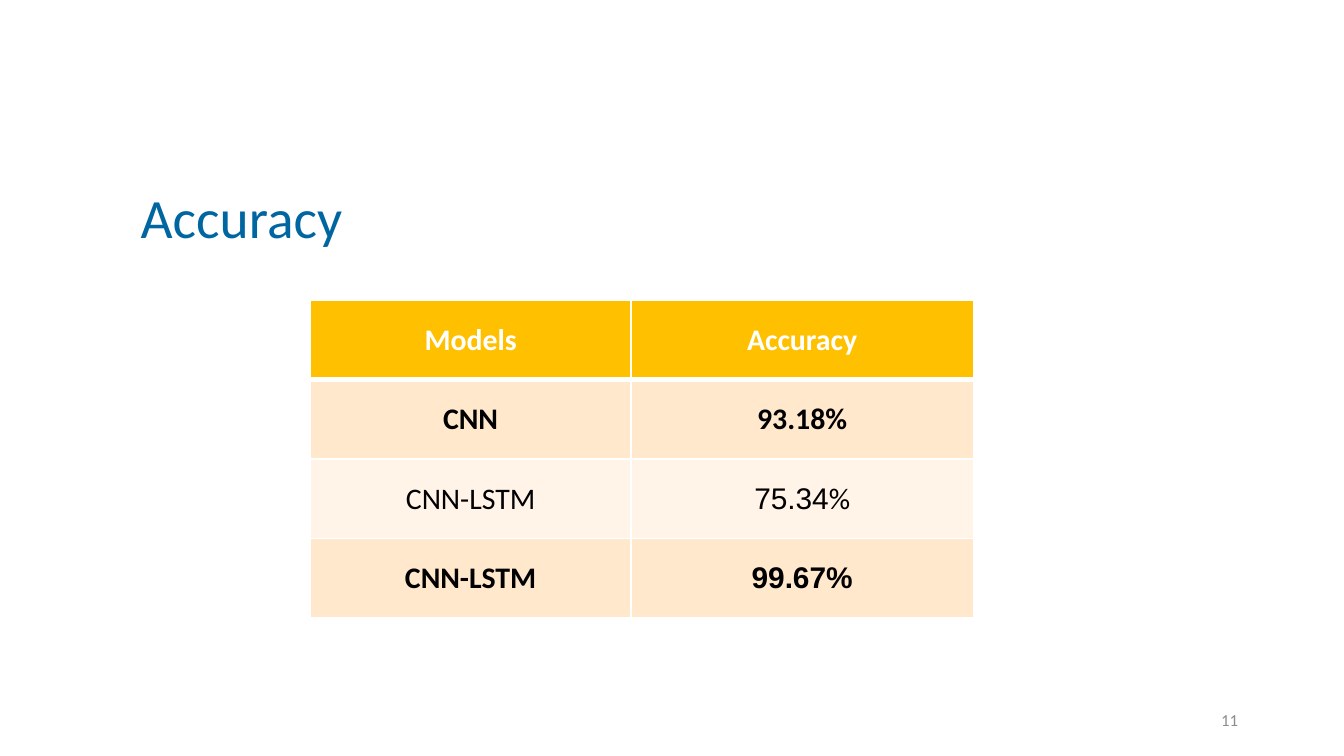
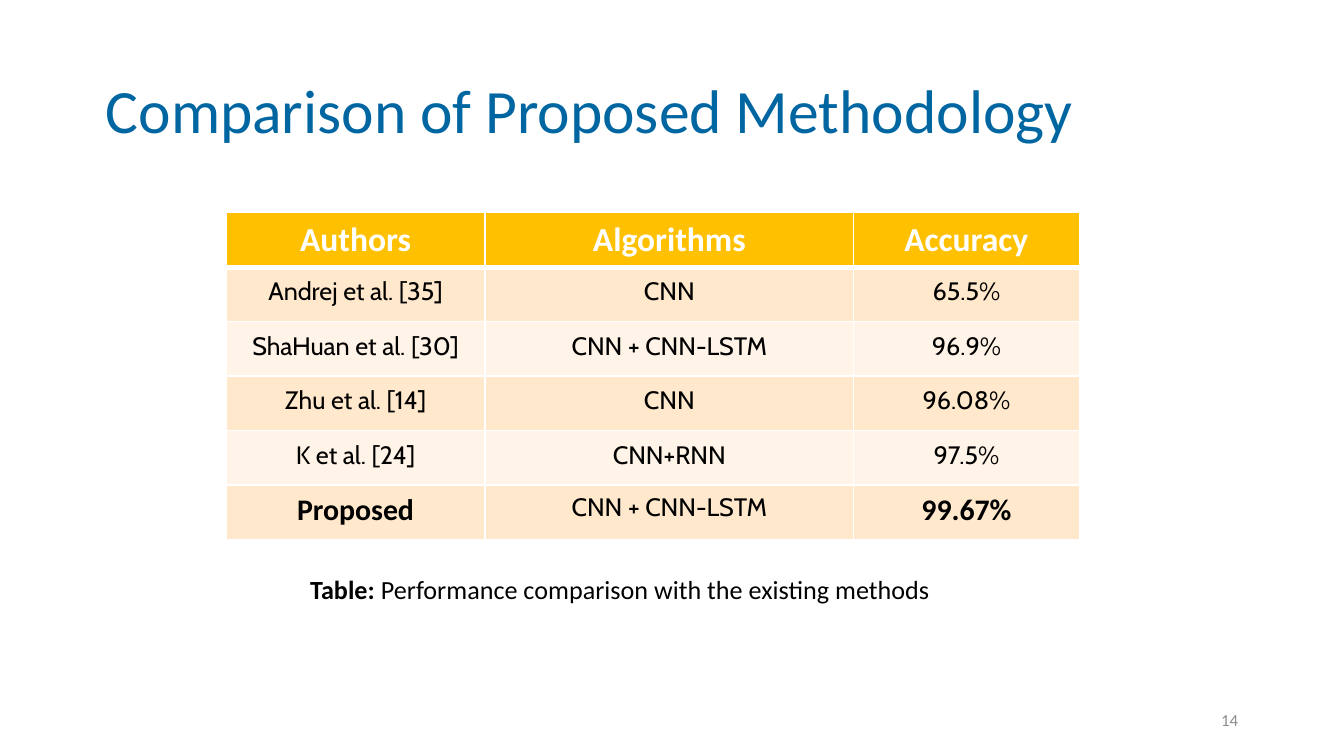
from collections import namedtuple

from lxml.etree import SubElement
from pptx import Presentation
from pptx.dml.color import RGBColor
from pptx.enum.text import MSO_ANCHOR, PP_ALIGN
from pptx.oxml.ns import qn
from pptx.util import Cm, Pt

COLORS = {
    "title": "0066A1",
    "number": "8C8C8C",
    "text": "000000",
    "white": "FFFFFF",
    "header": "FFC000",
    "band_dark": "FFE8CC",
    "band_light": "FFF4E7",
}

TextStyle = namedtuple("TextStyle", "font size bold color", defaults=(False, "text"))
HEADER_16 = TextStyle("Calibri", 16, True, "white")
HEADER_18 = TextStyle("Calibri", 18, True, "white")
PLAIN = TextStyle("Calibri", 16)
STRONG = TextStyle("Calibri", 16, True)
PLAIN_ARIAL = TextStyle("Arial", 16)
STRONG_ARIAL = TextStyle("Arial", 16, True)
CABIN = TextStyle("Cabin", 13.5)
CAPTION = TextStyle("Calibri", 14)
NUMBER = TextStyle("Calibri", 9, color="number")


class Deck:
    def __init__(self):
        self.presentation = Presentation()
        self.presentation.slide_width = Cm(25.4)
        self.presentation.slide_height = Cm(14.29)
        self.slide = None

    def add_slide(self, number):
        layout = self.presentation.slide_layouts[6]
        self.slide = self.presentation.slides.add_slide(layout)
        self.text((17.93, 13.23, 5.72, 0.76), [(str(number), NUMBER)], PP_ALIGN.RIGHT)

    def fill_paragraph(self, paragraph, runs, align):
        """Fill a paragraph with (text, style) runs; the first style is the base."""
        base = runs[0][1]
        paragraph.alignment = align
        self.style(paragraph.font, base)
        for text, style in runs:
            run = paragraph.add_run()
            run.text = text
            if style != base:
                self.style(run.font, style)

    def style(self, font, style):
        font.name = style.font
        font.size = Pt(style.size)
        font.bold = style.bold
        font.color.rgb = RGBColor.from_string(COLORS[style.color])

    def text(self, box, runs, align=PP_ALIGN.LEFT, anchor=MSO_ANCHOR.MIDDLE, wrap=True):
        frame = self.slide.shapes.add_textbox(*map(Cm, box)).text_frame
        frame.word_wrap = wrap
        frame.vertical_anchor = anchor
        paragraph = frame.paragraphs[0]
        self.fill_paragraph(paragraph, runs, align)
        return paragraph

    def title(self, box, text, size):
        style = TextStyle("Calibri", size, color="title")
        self.text(box, [(text, style)]).line_spacing = 0.9

    def borders(self, cell, **widths):
        properties = cell._tc.get_or_add_tcPr()
        for side in ("L", "R", "T", "B"):
            line = SubElement(properties, qn(f"a:ln{side}"), w=str(Pt(widths.get(side, 1))))
            fill = SubElement(line, qn("a:solidFill"))
            SubElement(fill, qn("a:srgbClr"), val=COLORS["white"])

    def table(self, left, top, widths, row_height, rows, anchor, inset_rows=()):
        """Build a banded table; inset_rows get an even margin on all sides."""
        size = (sum(widths), row_height * len(rows))
        table = self.slide.shapes.add_table(
            len(rows), len(widths), Cm(left), Cm(top), *map(Cm, size)).table
        for column, width in zip(table.columns, widths):
            column.width = Cm(width)
        for index, row in enumerate(rows):
            table.rows[index].height = Cm(row_height)
            band = "header" if index == 0 else "band_dark" if index % 2 else "band_light"
            for column, runs in enumerate(row):
                cell = table.cell(index, column)
                self.borders(cell, T=3 if index == 1 else 1, B=1 if index else 3)
                cell.fill.solid()
                cell.fill.fore_color.rgb = RGBColor.from_string(COLORS[band])
                cell.vertical_anchor = anchor
                if index in inset_rows:
                    cell.margin_left = cell.margin_right = Cm(0.18)
                    cell.margin_top = cell.margin_bottom = Cm(0.18)
                self.fill_paragraph(cell.text_frame.paragraphs[0], runs, PP_ALIGN.CENTER)


def styled(style, *texts):
    """Return one single-run cell per text, all in the same style."""
    return [[(text, style)] for text in texts]


def add_accuracy_slide(deck):
    deck.add_slide(11)
    deck.title((2.41, 3.45, 21.89, 1.45), "Accuracy", 29.7)
    rows = [
        styled(HEADER_16, "Models", "Accuracy"),
        styled(STRONG, "CNN", "93.18%"),
        styled(PLAIN, "CNN-LSTM") + [[("75.34", PLAIN_ARIAL), ("%", PLAIN)]],
        styled(STRONG, "CNN-LSTM") + styled(STRONG_ARIAL, "99.67%"),
    ]
    deck.table(5.87, 5.68, (6.05, 6.48), 1.5, rows, MSO_ANCHOR.MIDDLE)


def add_comparison_slide(deck):
    deck.add_slide(14)
    deck.title((1.75, 0.76, 21.89, 2.77), "Comparison of Proposed Methodology", 33)
    deck.text(
        (5.56, 10.72, 12.32, 0.86),
        [("Table: ", CAPTION._replace(bold=True)),
         ("Performance comparison with the existing methods", CAPTION)],
        PP_ALIGN.CENTER, MSO_ANCHOR.TOP, wrap=False)
    rows = [
        styled(HEADER_18, "Authors", "Algorithms", "Accuracy"),
        styled(CABIN, "Andrej et al. [35]", "CNN", "65.5%"),
        styled(CABIN, "ShaHuan et al. [30]", "CNN + CNN-LSTM", "96.9%"),
        styled(CABIN, "Zhu et al. [14]", "CNN", "96.08%"),
        styled(CABIN, "K et al. [24]", "CNN+RNN", "97.5%"),
        styled(STRONG, "Proposed") + styled(CABIN, "CNN + CNN-LSTM")
        + styled(STRONG, "99.67%"),
    ]
    deck.table(4.27, 4.02, (4.9, 6.96, 4.27), 1.03, rows, MSO_ANCHOR.TOP, range(1, 5))


def main():
    deck = Deck()
    add_accuracy_slide(deck)
    add_comparison_slide(deck)
    deck.presentation.save("out.pptx")


if __name__ == "__main__":
    main()
